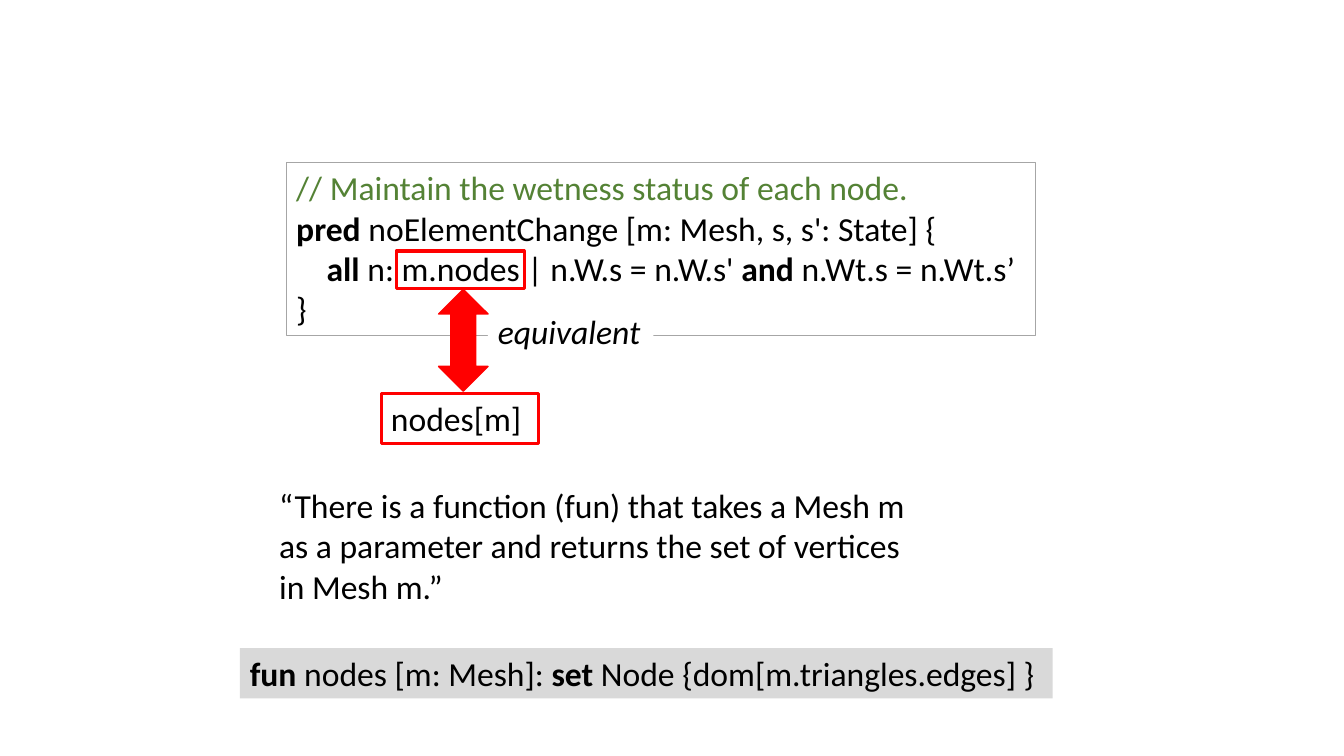
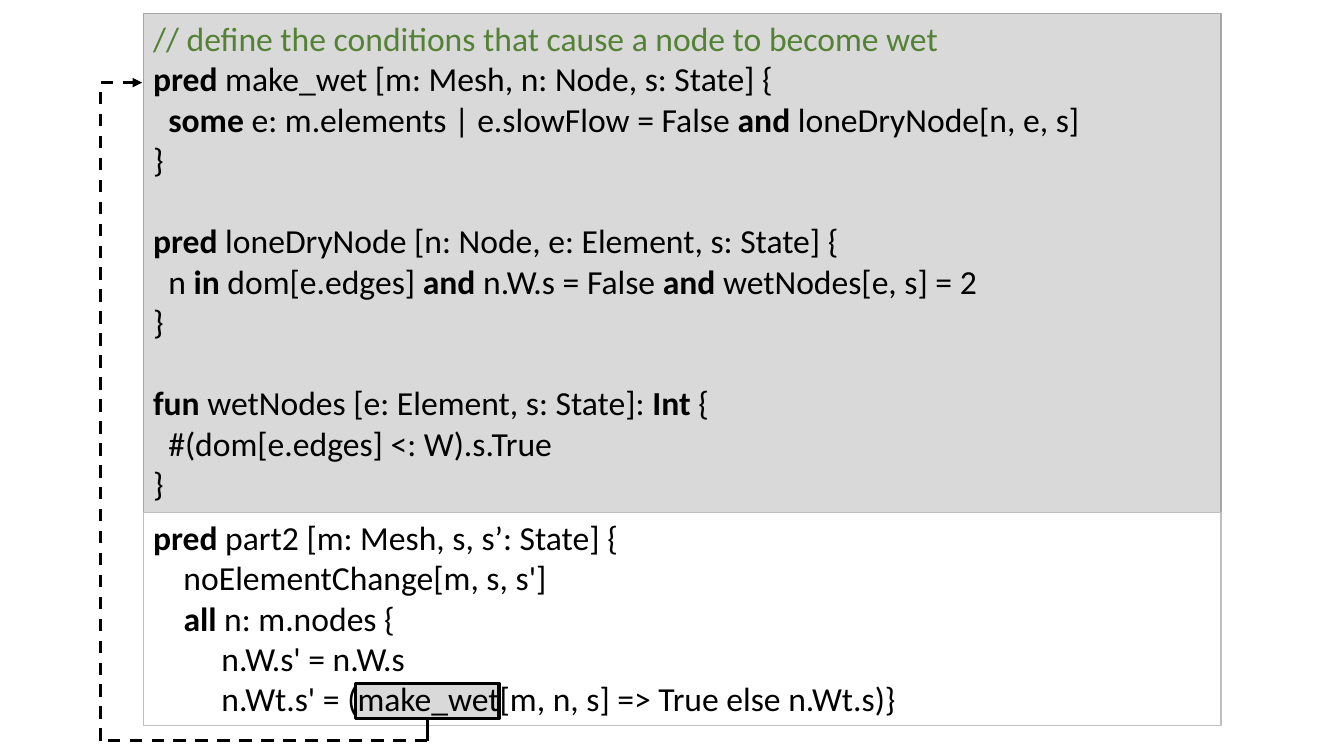
from itertools import pairwise

from lxml import etree
from pptx import Presentation
from pptx.dml.color import RGBColor
from pptx.enum import dml, shapes, text
from pptx.oxml import ns
from pptx.util import Inches, Pt

FONT, SIZE = "Calibri", 24
LINE_PITCH = 29.3
BLACK, WHITE, RED, GREEN = "000000", "FFFFFF", "FF0000", "548235"
PANEL, GREY, LIGHT_GREY = "D9D9D9", "A6A6A6", "BFBFBF"
RECT = shapes.MSO_SHAPE.RECTANGLE

NO_CHANGE = """// Maintain the wetness status of each node.
**pred** noElementChange [m: Mesh, s, s': State] {
    **all** n: m.nodes | n.W.s = n.W.s' **and** n.Wt.s = n.Wt.s’
}"""
NODES_FUN = "**fun** nodes [m: Mesh]: **set** Node {dom[m.triangles.edges] }"
MEANING = ("“There is a function (fun) that takes a Mesh m as a parameter "
           "and returns the set of vertices in Mesh m.”")
MAKE_WET = """// define the conditions that cause a node to become wet
**pred** make_wet [m: Mesh, n: Node, s: State] {
  **some** e: m.elements | e.slowFlow = False **and** loneDryNode[n, e, s]
}

**pred** loneDryNode [n: Node, e: Element, s: State] {
  n **in** dom[e.edges] **and** n.W.s = False **and** wetNodes[e, s] = 2
}

**fun** wetNodes [e: Element, s: State]: **Int** {
  #(dom[e.edges] <: W).s.True
}"""
PART2 = """**pred** part2 [m: Mesh, s, s’: State] {
    noElementChange[m, s, s']
    **all** n: m.nodes {
         n.W.s' = n.W.s
         n.Wt.s' = (make_wet[m, n, s] => True else n.Wt.s)}"""


def rgb(value):
    """Turn a hex string into a colour."""
    return RGBColor.from_string(value)


def write(sp, content, wrap=True, italic=False):
    """Write lines with **bold** keywords, green comments and gaps for empty lines."""
    tf = sp.text_frame
    tf.word_wrap = wrap
    tf.vertical_anchor = text.MSO_ANCHOR.TOP
    p, gap = tf.paragraphs[0], False
    for i, line in enumerate(content.split("\n")):
        if not line:
            gap = True
            continue
        if i:
            p = tf.add_paragraph()
        p.alignment = text.PP_ALIGN.LEFT
        if gap:
            p.space_before = Pt(LINE_PITCH)
            gap = False
        for j, part in enumerate(line.split("**")):
            if part:
                r = p.add_run()
                r.text = part
                r.font.name, r.font.size = FONT, Pt(SIZE)
                r.font.bold, r.font.italic = j % 2 == 1, italic
                r.font.color.rgb = rgb(GREEN if line.startswith("//") else BLACK)


def add_box(s, left, top, width, height, fill=None, line=None, weight=0.75, kind=RECT):
    """Add a flat preset shape with optional fill and outline."""
    sp = s.shapes.add_shape(kind, Inches(left), Inches(top), Inches(width), Inches(height))
    sp.shadow.inherit = False
    if fill:
        sp.fill.solid()
        sp.fill.fore_color.rgb = rgb(fill)
    else:
        sp.fill.background()
    if line:
        sp.line.color.rgb = rgb(line)
        sp.line.width = Pt(weight)
    else:
        sp.line.fill.background()
    return sp


def add_line(s, start, end, dashed=False, arrow=False):
    """Add a black straight connector between two points."""
    c = s.shapes.add_connector(shapes.MSO_CONNECTOR.STRAIGHT,
                               *(Inches(v) for v in (*start, *end)))
    c.line.color.rgb = rgb(BLACK)
    c.line.width = Pt(2.25)
    if dashed:
        c.line.dash_style = dml.MSO_LINE.DASH
    sp_pr = c._element.spPr
    if arrow:
        etree.SubElement(sp_pr.find(ns.qn("a:ln")), ns.qn("a:tailEnd"), type="triangle")
    etree.SubElement(sp_pr, ns.qn("a:effectLst"))
    return c


def add_equivalence(s, left, top):
    """Frame m.nodes in the code and link it to nodes[m] below."""
    add_box(s, left + 0.15, top, 1.27, 0.37, line=RED, weight=2.25)
    write(add_box(s, left, top + 1.41, 1.56, 0.5, line=RED, weight=2.25), "nodes[m]")
    label = add_box(s, left + 1.06, top + 0.55, 1.64, 0.5, fill=WHITE)
    write(label, "equivalent", wrap=False, italic=True)
    add_box(s, left + 0.57, top + 0.38, 0.49, 1.01, RED, RED, 1,
            shapes.MSO_SHAPE.UP_DOWN_ARROW)


def add_call_link(s, left, top):
    """Highlight the make_wet call and lead a dashed arrow to its definition."""
    call = add_box(s, left + 2.11, top + 6.65, 1.42, 0.35, PANEL, BLACK, 2.25)
    write(add_box(s, left, top, 10.69, 4.95, PANEL, GREY), MAKE_WET)
    write(add_box(s, left, top + 4.95, 10.69, 2.12, line=LIGHT_GREY), PART2)
    x, bottom, target, rail = left + 2.82, top + 7.22, top + 0.69, left - 0.42
    add_line(s, (x, top + 7), (x, bottom)).begin_connect(call, 2)
    route = [(x, bottom), (rail, bottom), (rail, target), (left - 0.01, target)]
    for i, (start, end) in enumerate(pairwise(route)):
        add_line(s, start, end, dashed=True, arrow=i == len(route) - 2)


def build_nodes_slide(s):
    """Explain the nodes function."""
    write(add_box(s, 2.38, 6.43, 8.06, 0.5, PANEL), NODES_FUN, wrap=False)
    write(s.shapes.add_textbox(Inches(2.67), Inches(4.76), Inches(6.64), Inches(1.31)),
          MEANING)
    write(add_box(s, 2.84, 1.61, 7.43, 1.72, line=GREY), NO_CHANGE)
    add_equivalence(s, 3.78, 2.49)


def build_wet_slide(s):
    """Show the wetting predicates and their use."""
    add_call_link(s, 1.42, 0.13)


def main():
    """Build and save both slides."""
    prs = Presentation()
    prs.slide_width, prs.slide_height = Inches(13.33), Inches(7.5)
    for build in (build_nodes_slide, build_wet_slide):
        build(prs.slides.add_slide(prs.slide_layouts[6]))
    prs.save("out.pptx")


if __name__ == "__main__":
    main()
